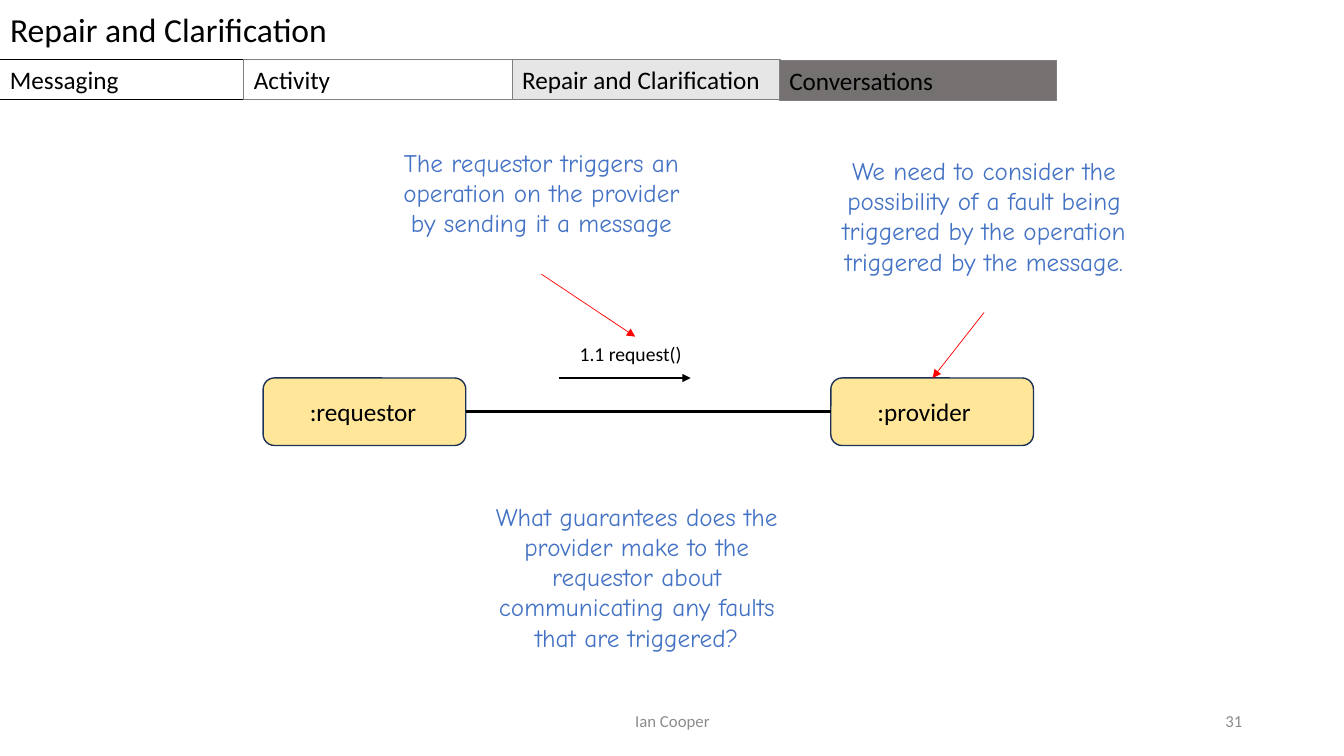
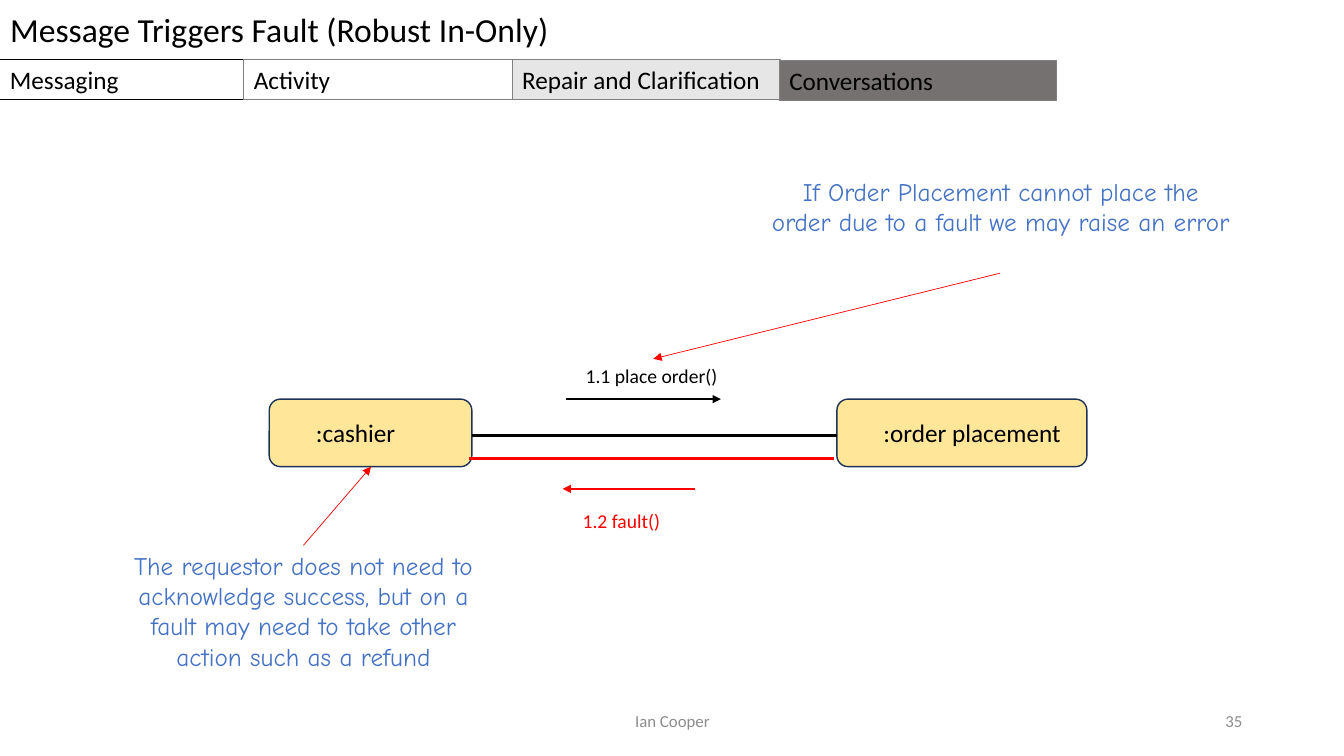
from pptx import Presentation
from pptx.util import Inches, Pt
from pptx.dml.color import RGBColor
from pptx.enum.shapes import MSO_SHAPE as Shape, MSO_CONNECTOR as Link
from pptx.enum.text import PP_ALIGN as Align, MSO_ANCHOR as Anchor, MSO_AUTO_SIZE as Auto
from pptx.oxml.ns import qn
from lxml import etree

HEX = {"black": "000000", "white": "FFFFFF", "red": "FF0000", "blue": "4472C4",
       "gold": "FFE699", "navy": "1E3256", "pale": "E7E6E6", "dark": "767171",
       "edge": "808080", "foot": "8C8C8C"}
C = {name: RGBColor.from_string(code) for name, code in HEX.items()}
SANS, HAND = "Calibri", "Comic Neue"

TABS = [
    ("Messaging", 0, 0.59, 2.43, "white", "black"),
    ("Activity", 2.42, 0.59, 2.66, "white", "edge"),
    ("Repair and Clarification", 5.08, 0.59, 2.66, "pale", "edge"),
    ("Conversations", 7.73, 0.6, 2.75, "dark", "edge"),
]

SLIDES = [
    {
        "title": "Repair and Clarification",
        "page": "31",
        "nodes": [(":requestor", 2.61, 3.75, 2.01), (":provider", 8.24, 3.75, 2.01)],
        "links": [(4.62, 8.24, 4.08, "black")],
        "calls": [(5.54, 6.85, 3.75, "black")],
        "labels": [("1.1 request()", 5.65, 3.34, 1.31, "black")],
        "notes": [
            ("We need to consider the possibility of a fault being triggered by the "
             "operation triggered by the message.", 8.24, 1.49, 3.04, 1.62),
            ("What guarantees does the provider make to the requestor about "
             "communicating any faults that are triggered?", 4.66, 4.92, 3.31, 1.62),
            ("The requestor triggers an operation on the provider by sending it "
             "a message", 3.85, 1.41, 3.04, 1.31),
        ],
        "hints": [(9.76, 3.1, 9.25, 3.75), (5.37, 2.72, 6.3, 3.34)],
    },
    {
        "title": "Message Triggers Fault (Robust In-Only)",
        "page": "35",
        "nodes": [(":cashier", 2.67, 3.96, 2.01), (":order placement", 8.3, 3.96, 2.48)],
        "links": [(4.68, 8.3, 4.32, "black"), (4.65, 8.27, 4.55, "red")],
        "calls": [(5.61, 7.15, 3.96, "black"), (6.89, 5.58, 4.85, "red")],
        "labels": [("1.1 place order()", 5.71, 3.56, 1.54, "black"),
                   ("1.2 fault()", 5.68, 5, 1.11, "red")],
        "notes": [
            ("If Order Placement cannot place the order due to a fault we may raise "
             "an error", 7.55, 1.7, 4.75, 1.01),
            ("The requestor does not need to acknowledge success, but on a fault may "
             "need to take other action such as a refund", 1.11, 5.41, 3.8, 1.31),
        ],
        "hints": [(9.92, 2.71, 6.48, 3.56), (3.01, 5.41, 3.68, 4.63)],
    },
]


def write(shape, text, size, color="black", font=SANS, align=Align.LEFT,
          anchor=Anchor.TOP, wrap=True):
    frame = shape.text_frame
    frame.text = text
    frame.auto_size = Auto.NONE
    frame.word_wrap = wrap
    frame.vertical_anchor = anchor
    para = frame.paragraphs[0]
    para.alignment = align
    style = para.runs[0].font
    style.name, style.size, style.color.rgb = font, Pt(size), C[color]
    return frame


def draw(slide, x1, y1, x2, y2, color, width, arrow=True):
    line = slide.shapes.add_connector(Link.STRAIGHT, Inches(x1), Inches(y1),
                                      Inches(x2), Inches(y2))
    line.line.color.rgb = C[color]
    line.line.width = Pt(width)
    if arrow:
        etree.SubElement(line.line._get_or_add_ln(), qn("a:tailEnd"), type="triangle")
    etree.SubElement(line._element.spPr, qn("a:effectLst"))


prs = Presentation()
prs.slide_width, prs.slide_height = Inches(13.33), Inches(7.5)

for data in SLIDES:
    slide = prs.slides.add_slide(prs.slide_layouts[5])
    shapes = slide.shapes

    title = shapes.title
    title.left, title.top = Inches(0), Inches(-0.01)
    title.width, title.height = Inches(13.33), Inches(0.61)
    frame = write(title, data["title"], 24)
    frame.margin_left = frame.margin_right = Inches(0.1)
    frame.margin_top = frame.margin_bottom = Inches(0.1)

    for text, x, w, align in [("Ian Cooper", 4.42, 4.5, Align.CENTER),
                              (data["page"], 9.42, 3, Align.RIGHT)]:
        foot = shapes.add_textbox(Inches(x), Inches(6.95), Inches(w), Inches(0.4))
        write(foot, text, 12, "foot", align=align, anchor=Anchor.MIDDLE)

    for text, x, y, w in data["nodes"]:
        node = shapes.add_shape(Shape.ROUNDED_RECTANGLE, Inches(x), Inches(y),
                                Inches(w), Inches(0.67))
        node.shadow.inherit = False
        node.fill.solid()
        node.fill.fore_color.rgb = C["gold"]
        node.line.color.rgb = C["navy"]
        node.line.width = Pt(1)
        frame = write(node, text, 18, anchor=Anchor.MIDDLE, wrap=False)
        frame.margin_left = Inches(0.43)

    for x1, x2, y, color in data["links"]:
        draw(slide, x1, y, x2, y, color, 2.5, arrow=False)
    for x1, x2, y, color in data["calls"]:
        draw(slide, x1, y, x2, y, color, 1.5)
    for text, x, y, w, color in data["labels"]:
        label = shapes.add_textbox(Inches(x), Inches(y), Inches(w), Inches(0.34))
        write(label, text, 14, color, wrap=False)

    for text, x, y, w, h in data["notes"]:
        note = shapes.add_textbox(Inches(x), Inches(y), Inches(w), Inches(h))
        write(note, text, 18, "blue", HAND, Align.CENTER)
    for ends in data["hints"]:
        draw(slide, *ends, "red", 0.5)

    for text, x, y, w, fill, edge in TABS:
        tab = shapes.add_shape(Shape.RECTANGLE, Inches(x), Inches(y),
                               Inches(w), Inches(0.4))
        tab.shadow.inherit = False
        tab.fill.solid()
        tab.fill.fore_color.rgb = C[fill]
        tab.line.color.rgb = C[edge]
        tab.line.width = Pt(0.75)
        write(tab, text, 18)

prs.save("out.pptx")
